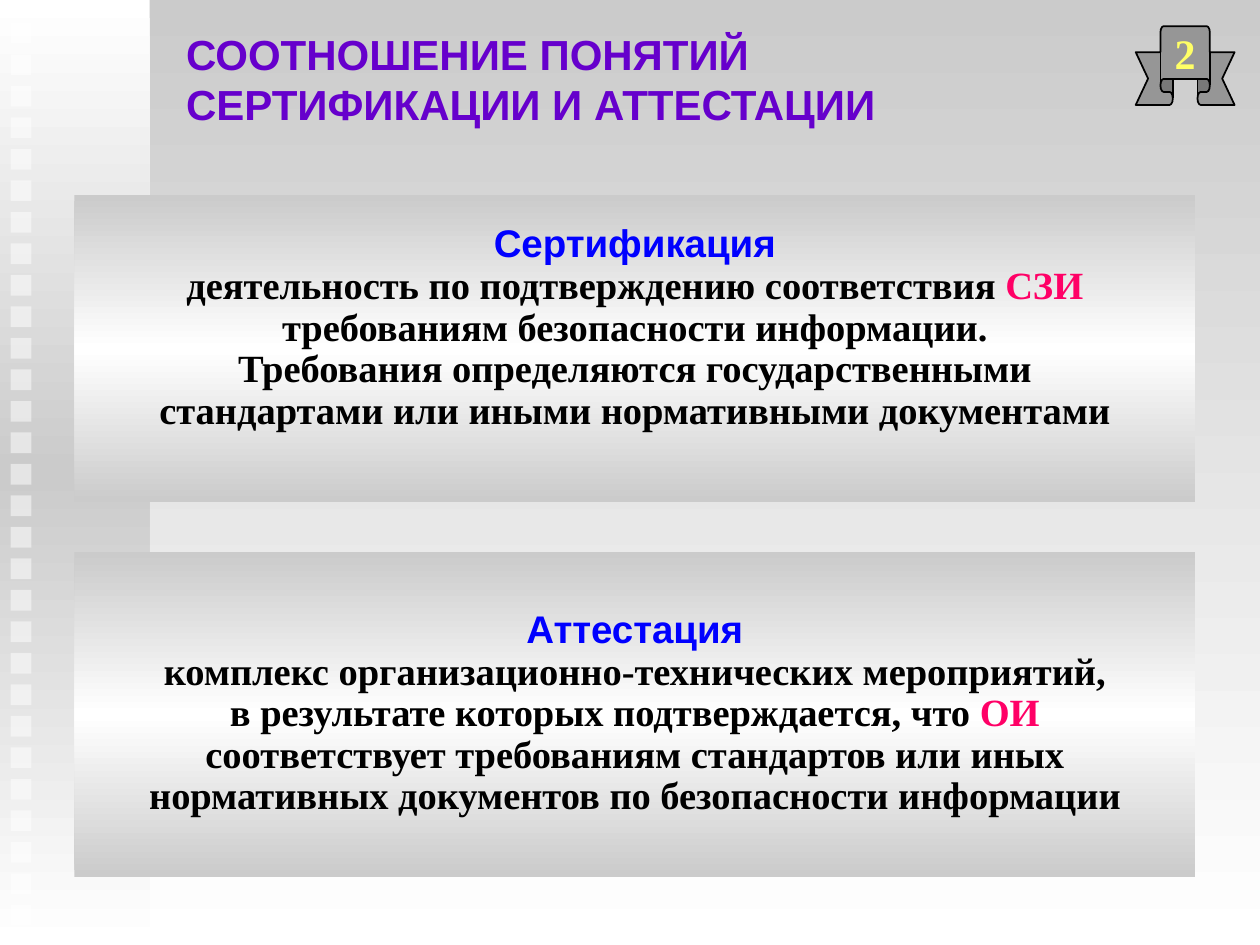
from copy import deepcopy

from pptx import Presentation
from pptx import util as u
from pptx.dml.color import RGBColor
from pptx.enum import shapes, text
from pptx.oxml import ns
from lxml import etree

Pt = u.Pt
GREY = RGBColor(0xCB, 0xCB, 0xCB)
WHITE = RGBColor(0xFF, 0xFF, 0xFF)
BLACK = RGBColor(0, 0, 0)
PURPLE = RGBColor(0x66, 0, 0xCC)
BLUE = RGBColor(0, 0, 0xFF)
PINK = RGBColor(0xFF, 0, 0x66)
RIBBON_GREY = RGBColor(0x96, 0x96, 0x96)
YELLOW = RGBColor(0xFF, 0xFF, 0x66)


def add_band(page, left, top, width, height, edge, middle):
    """Add a rectangle with a vertical edge-middle-edge gradient."""
    band = page.shapes.add_shape(shapes.MSO_SHAPE.RECTANGLE, Pt(left), Pt(top), Pt(width), Pt(height))
    band.shadow.inherit = False
    band.line.fill.background()
    band.fill.gradient()
    band.fill.gradient_angle = 270
    stop_list = band._element.spPr.find(".//" + ns.qn("a:gsLst"))
    stop_list.append(deepcopy(stop_list[0]))
    for stop, position, colour in zip(band.fill.gradient_stops, (0, 0.5, 1), (edge, middle, edge)):
        stop.position = position
        stop.color.rgb = colour
    return band


def style(span, name, size, colour):
    span.font.name = name
    span.font.size = Pt(size)
    span.font.bold = True
    span.font.color.rgb = colour


deck = Presentation()
deck.slide_width, deck.slide_height = Pt(720), Pt(540)
page = deck.slides.add_slide(deck.slide_layouts[6])

backdrop = page.background.fill
backdrop.gradient()
backdrop.gradient_angle = 270
for stop, position, colour in zip(backdrop.gradient_stops, (0, 1), (GREY, WHITE)):
    stop.position = position
    stop.color.rgb = colour

# Side strip with a column of translucent squares
add_band(page, 0, 0, 85.5, 540, WHITE, GREY)
for row in range(29):
    square = page.shapes.add_shape(shapes.MSO_SHAPE.RECTANGLE, Pt(6), Pt(13 + 18 * row), Pt(12), Pt(12))
    square.shadow.inherit = False
    square.line.fill.background()
    square.fill.solid()
    square.fill.fore_color.rgb = WHITE
    colour_element = square._element.spPr.find(".//" + ns.qn("a:srgbClr"))
    etree.SubElement(colour_element, ns.qn("a:alpha"), val="50000")

# Title
title = page.shapes.add_textbox(Pt(99.25), Pt(0), Pt(527), Pt(90))
title.text_frame.word_wrap = True
title.text_frame.vertical_anchor = text.MSO_ANCHOR.MIDDLE
title.text_frame.text = "СООТНОШЕНИЕ ПОНЯТИЙ СЕРТИФИКАЦИИ И АТТЕСТАЦИИ"
style(title.text_frame.paragraphs[0].runs[0], "Arial", 24, PURPLE)

# Definitions: top, height, bottom inset, term, lines of (text, highlighted ending)
definitions = [
    (111.5, 175.5, 26.5, "Сертификация", [
        ("деятельность по подтверждению соответствия ", "СЗИ"),
        ("требованиям безопасности информации.", ""),
        ("Требования определяются государственными", ""),
        ("стандартами или иными нормативными документами", ""),
    ]),
    (315.5, 185.5, 3.6, "Аттестация", [
        ("комплекс организационно-технических мероприятий,", ""),
        ("в результате которых подтверждается, что ", "ОИ"),
        ("соответствует требованиям стандартов или иных", ""),
        ("нормативных документов по безопасности информации", ""),
    ]),
]
for top, height, bottom_inset, term, lines in definitions:
    frame = add_band(page, 42.5, top, 640.5, height, GREY, WHITE).text_frame
    frame.word_wrap = False
    frame.vertical_anchor = text.MSO_ANCHOR.MIDDLE
    frame.margin_bottom = Pt(bottom_inset)
    frame.text = term
    style(frame.paragraphs[0].runs[0], "Arial", 22, BLUE)
    for wording, highlight in lines:
        para = frame.add_paragraph()
        para.text = wording
        style(para.runs[0], "Times New Roman", 22, BLACK)
        if highlight:
            span = para.add_run()
            span.text = highlight
            style(span, "Times New Roman", 22, PINK)
    for para in frame.paragraphs:
        para.alignment = text.PP_ALIGN.CENTER
        para.line_spacing = 0.9

# Numbered ribbon
ribbon = page.shapes.add_shape(shapes.MSO_SHAPE.UP_RIBBON, Pt(649), Pt(15), Pt(56.5), Pt(45))
ribbon.adjustments[0] = 0.33
ribbon.adjustments[1] = 0.5
ribbon.shadow.inherit = False
ribbon.fill.solid()
ribbon.fill.fore_color.rgb = RIBBON_GREY
ribbon.line.color.rgb = BLACK
ribbon.line.width = Pt(1)
ribbon.text_frame.word_wrap = False
ribbon.text_frame.vertical_anchor = text.MSO_ANCHOR.MIDDLE
ribbon.text_frame.text = "2"
ribbon.text_frame.paragraphs[0].alignment = text.PP_ALIGN.CENTER
style(ribbon.text_frame.paragraphs[0].runs[0], "Times New Roman", 24, YELLOW)

deck.save("out.pptx")
